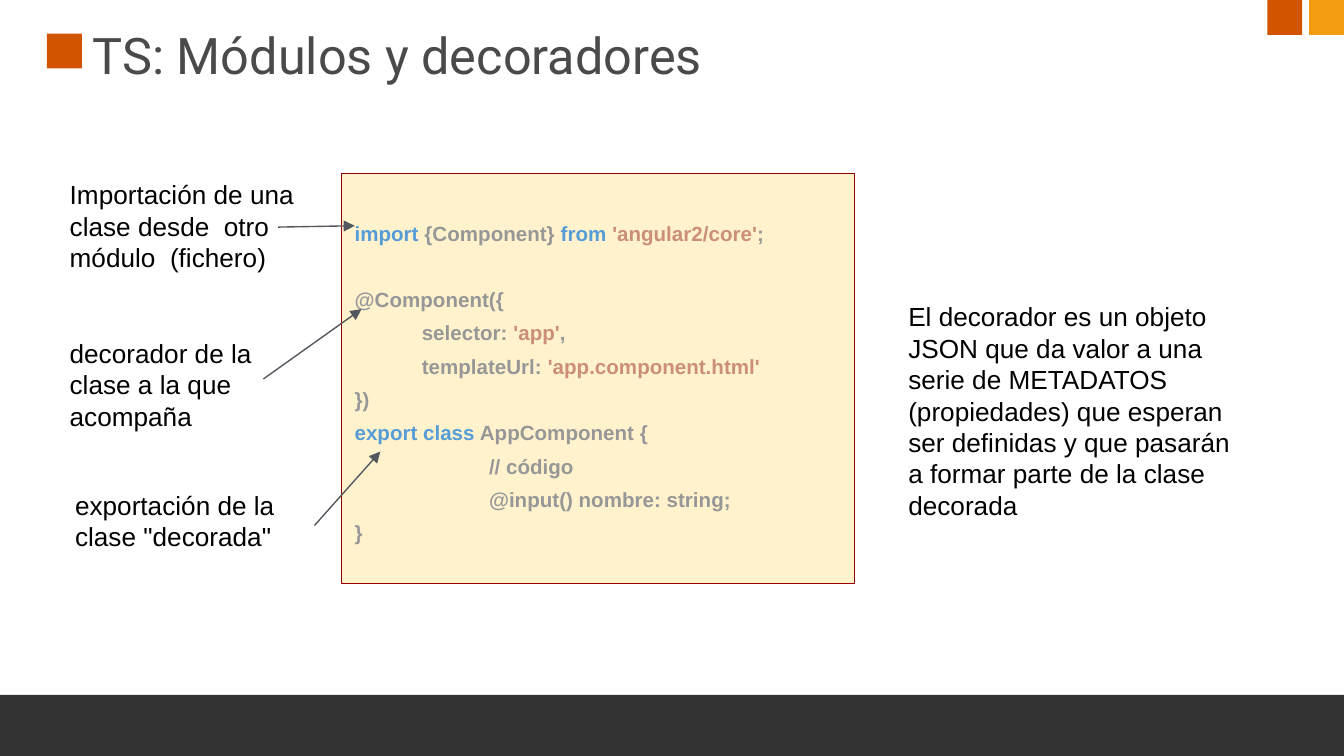
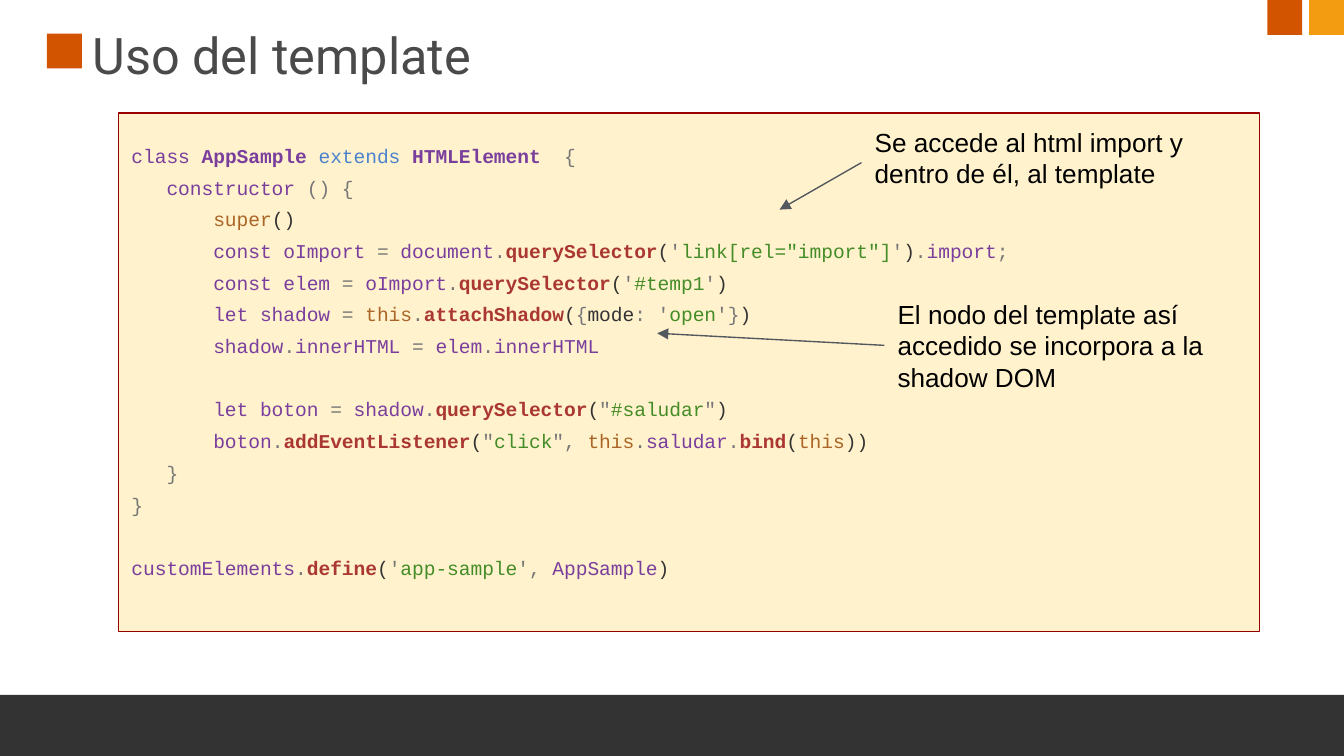
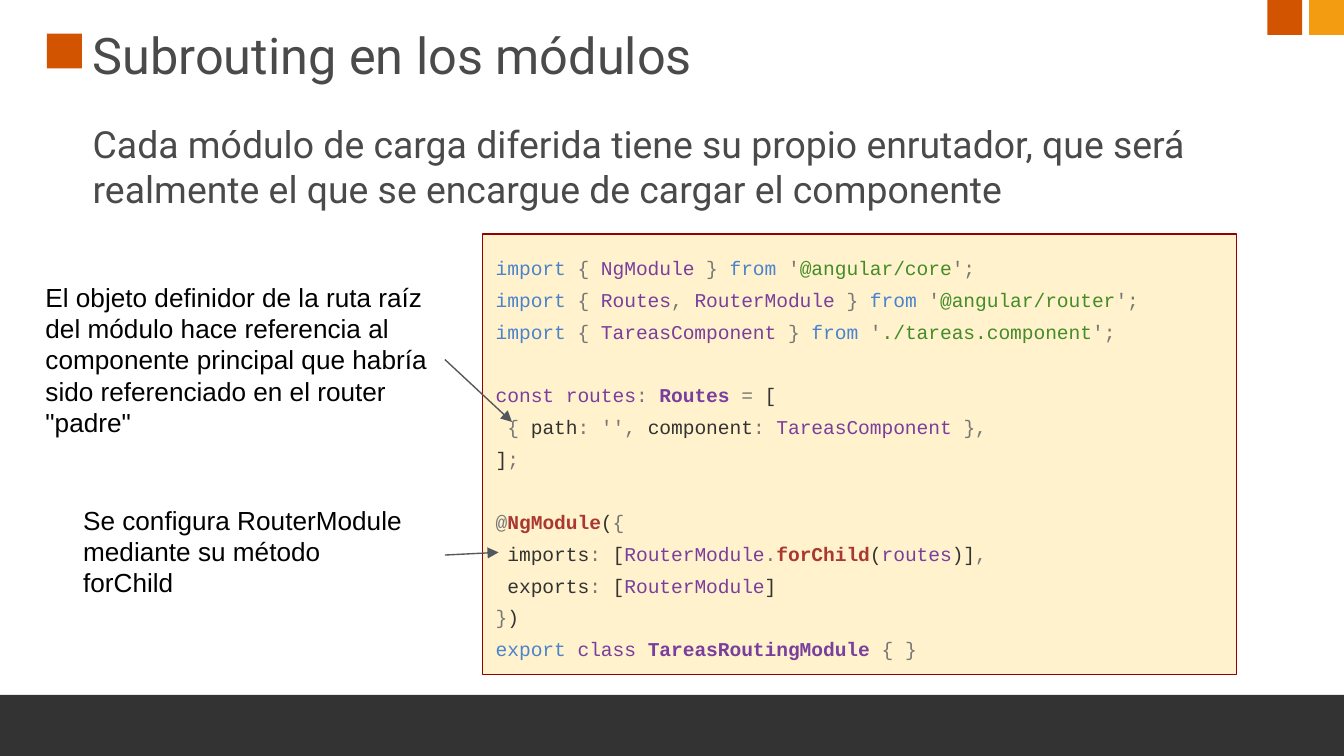
"""Build three slides on modules, templates and subrouting."""
from dataclasses import dataclass, field
from typing import Any, NamedTuple

from lxml.etree import SubElement
from pptx import Presentation
from pptx.dml.color import RGBColor
from pptx.enum.shapes import MSO_CONNECTOR, MSO_SHAPE
from pptx.enum.text import MSO_ANCHOR, PP_ALIGN
from pptx.oxml.ns import qn
from pptx.util import Inches, Pt


@dataclass(frozen=True)
class Theme:
    """Colours and type sizes of the deck."""
    rust: str = "D35400"
    amber: str = "F39C12"
    band: str = "333333"
    title: str = "4A4A4A"
    note: str = "000000"
    cream: str = "FFF2CC"
    edge: str = "980000"
    arrow: str = "53585F"
    head: float = 27
    body: float = 20
    text: float = 14
    code: float = 10.5
    thin: float = 0.75
    lead: float = 1.35
    gap: float = 17
    inks: dict[str, tuple[str, bool]] = field(default_factory=lambda: {
        "p": ("7A3E9D", False), "P": ("7A3E9D", True),
        "b": ("4B83CD", False), "B": ("569CD6", True),
        "g": ("777777", False), "G": ("979797", True),
        "d": ("333333", False), "o": ("AB6526", False),
        "s": ("448C27", False), "R": ("AA3731", True),
        "T": ("CA8F76", True),
    })


THEME = Theme()


class Box(NamedTuple):
    """Place and size in inches."""
    x: float
    y: float
    w: float
    h: float


class Line(NamedTuple):
    """Code line: one ink key for each part between bars."""
    keys: str
    text: str
    gap: bool = False
    dent: float = 0


class Code(NamedTuple):
    """Panel of code lines."""
    box: Box
    lines: list[Line]
    face: str = "Courier New"
    size: float = THEME.code
    foot: float = 0.1


class Note(NamedTuple):
    """Remark beside the code."""
    box: Box
    text: str
    mid: bool = False


class Arrow(NamedTuple):
    """Arrow with an optional join to a side of a note."""
    start: tuple[float, float]
    end: tuple[float, float]
    note: int | None = None
    side: int = 3
    join: str = "begin"


class Page(NamedTuple):
    """Content of one slide."""
    title: str
    code: Code
    notes: list[Note]
    arrows: list[Arrow]
    body: str = ""


MARKS = [
    (Box(0.35, 0.25, 0.26, 0.26), THEME.rust),
    (Box(-0.03, 5.17, 10.05, 0.46), THEME.band),
    (Box(9.43, 0, 0.26, 0.26), THEME.rust),
    (Box(9.74, 0, 0.26, 0.26), THEME.amber),
]

PAGES = [
    Page(
        "TS: Módulos y decoradores",
        Code(Box(2.54, 1.29, 3.82, 3.05), [
            Line("BGBTG", "import| {Component} |from |'angular2/core'|;"),
            Line("G", "@Component({", gap=True),
            Line("GTG", "selector: |'app'|,", dent=0.5),
            Line("GT", "templateUrl: |'app.component.html'", dent=0.5),
            Line("G", "})"),
            Line("BG", "export class| AppComponent {"),
            Line("G", "// código", dent=1),
            Line("G", "@input() nombre: string;", dent=1),
            Line("G", "}"),
        ], "Arial", 11),
        [
            Note(Box(0.42, 1.23, 2.22, 0.9),
                 "Importación de una clase desde  otro módulo  (fichero)"),
            Note(Box(0.42, 2.41, 1.96, 0.9),
                 "decorador de la clase a la que acompaña"),
            Note(Box(0.46, 3.54, 1.88, 0.74),
                 "exportación de la\nclase \"decorada\""),
            Note(Box(6.66, 1.92, 2.74, 2.27),
                 "El decorador es un objeto JSON que da valor a una serie de "
                 "METADATOS (propiedades) que esperan ser definidas y que "
                 "pasarán a formar parte de la clase decorada", True),
        ],
        [
            Arrow((2.07, 1.69), (2.64, 1.68), 0, join="end"),
            Arrow((1.96, 2.82), (2.69, 2.3)),
            Arrow((2.33, 3.91), (2.83, 3.36), 2),
        ],
    ),
    Page(
        "Uso del template",
        Code(Box(0.88, 0.84, 8.49, 3.86), [
            Line("pPbPg", "class |AppSample |extends |HTMLElement  |{"),
            Line("pg", "   constructor |() {"),
            Line("od", "       super|()"),
            Line("pgpgRdgsgdgpg",
                 "       const oImport |= |document|.|querySelector|(|'|"
                 "link[rel=\"import\"]|'|)|.|import|;"),
            Line("pgpgRdgsgd",
                 "       const elem |= |oImport|.|querySelector|(|'|#temp1|'|)"),
            Line("pgogRdgdgsgd",
                 "       let shadow |= |this|.|attachShadow|(|{|mode|: '|"
                 "open|'}|)"),
            Line("pgpgpgp",
                 "       shadow|.|innerHTML |= |elem|.|innerHTML"),
            Line("pgpgRdgsgd",
                 "       let boton |= |shadow|.|querySelector|(|\"|#saludar|\"|)",
                 gap=True),
            Line("pgRdgsgogpgRdod",
                 "       boton|.|addEventListener|(|\"|click|\", |this|.|"
                 "saludar|.|bind|(|this|))"),
            Line("g", "   }"),
            Line("g", "}"),
            Line("pgRdgsgpd",
                 "customElements|.|define|(|'|app-sample|', |AppSample|)",
                 gap=True),
        ], foot=0.32),
        [
            Note(Box(6.41, 0.84, 3.02, 0.74),
                 "Se accede al html import y dentro de él, al template"),
            Note(Box(6.58, 2.2, 2.67, 0.74),
                 "El nodo del template así accedido se incorpora a la "
                 "shadow DOM", True),
        ],
        [
            Arrow((6.41, 1.21), (5.8, 1.56), 0, 1),
            Arrow((6.58, 2.56), (4.89, 2.48), 1, 1),
        ],
    ),
    Page(
        "Subrouting en los módulos",
        Code(Box(3.59, 1.74, 5.61, 3.28), [
            Line("bgpgbgsg",
                 "import |{ |NgModule |} |from |'|@angular/core|';"),
            Line("bgpgpgbgsg",
                 "import |{ |Routes|, |RouterModule |} |from |'|"
                 "@angular/router|';"),
            Line("bgpgbgsg",
                 "import |{ |TareasComponent |} |from |'|"
                 "./tareas.component|';"),
            Line("pgPgd", "const routes|: |Routes |=| [", gap=True),
            Line("gdgdgpg",
                 " {| path|: '',| component|: |TareasComponent |},"),
            Line("dg", "]|;"),
            Line("gRdg", "@|NgModule|(|{", gap=True),
            Line("dgdpgRdpdg",
                 " imports|:| [|RouterModule|.|forChild|(|routes|)]|,"),
            Line("dgdpd", " exports|:| [|RouterModule|]"),
            Line("gd", "}|)"),
            Line("bpPg", "export |class |TareasRoutingModule |{ }"),
        ]),
        [
            Note(Box(0.24, 1.99, 3.07, 1.37),
                 "El objeto definidor de la ruta raíz del módulo hace "
                 "referencia al componente principal que habría sido "
                 "referenciado en el router \"padre\"", True),
            Note(Box(0.52, 3.65, 2.79, 0.96),
                 "Se configura RouterModule\nmediante su método\nforChild"),
        ],
        [
            Arrow((3.31, 4.13), (3.71, 4.11), 1),
            Arrow((3.31, 2.68), (3.81, 3.14), 0),
        ],
        "Cada módulo de carga diferida tiene su propio enrutador, que será "
        "realmente el que se encargue de cargar el componente",
    ),
]


def put(item: Any, form: dict[str, Any]) -> None:
    """Set each format value on an item."""
    for name, value in form.items():
        setattr(item, name, value)


def ink(font: Any, face: str, size: float, hue: str, bold: bool = False) -> None:
    """Format a font."""
    put(font, {"name": face, "size": Pt(size), "bold": bold})
    font.color.rgb = RGBColor.from_string(hue)


def frame(shape: Any, pad: float, mid: bool, foot: float | None = None) -> Any:
    """Set the margins and anchor of a text frame."""
    side = Inches(pad)
    put(shape.text_frame, {
        "word_wrap": True,
        "margin_left": side, "margin_right": side, "margin_top": side,
        "margin_bottom": side if foot is None else Inches(foot),
        "vertical_anchor": MSO_ANCHOR.MIDDLE if mid else MSO_ANCHOR.TOP,
    })
    return shape.text_frame


def block(slide: Any, box: Box, fill: str, edge: str = "") -> Any:
    """Draw a plain rectangle."""
    shape = slide.shapes.add_shape(MSO_SHAPE.RECTANGLE, *map(Inches, box))
    shape.shadow.inherit = False
    shape.fill.solid()
    shape.fill.fore_color.rgb = RGBColor.from_string(fill)
    if edge:
        shape.line.color.rgb = RGBColor.from_string(edge)
        shape.line.width = Pt(THEME.thin)
    else:
        shape.line.fill.background()
    return shape


def label(slide: Any, box: Box, text: str, face: str, size: float, hue: str,
          pad: float = 0.06, mid: bool = False) -> Any:
    """Draw a text box in one style."""
    shape = slide.shapes.add_textbox(*map(Inches, box))
    area = frame(shape, pad, mid)
    area.text = text
    for para in area.paragraphs:
        for run in para.runs:
            ink(run.font, face, size, hue)
    return shape


def panel(slide: Any, code: Code) -> None:
    """Draw a panel of coloured code."""
    area = frame(block(slide, code.box, THEME.cream, THEME.edge),
                 0.1, True, code.foot)
    for index, line in enumerate(code.lines):
        para = area.add_paragraph() if index else area.paragraphs[0]
        put(para, {"alignment": PP_ALIGN.LEFT, "line_spacing": THEME.lead})
        if line.gap:
            para.space_before = Pt(THEME.gap * code.size / THEME.code)
        if line.dent:
            para._p.get_or_add_pPr().set("marL", str(Inches(line.dent)))
        for key, part in zip(line.keys, line.text.split("|"), strict=True):
            run = para.add_run()
            run.text = part
            ink(run.font, code.face, code.size, *THEME.inks[key])


def point(slide: Any, arrow: Arrow, notes: list[Any]) -> None:
    """Draw an arrow and join it to its note."""
    ends = map(Inches, arrow.start + arrow.end)
    link = slide.shapes.add_connector(MSO_CONNECTOR.STRAIGHT, *ends)
    link.line.color.rgb = RGBColor.from_string(THEME.arrow)
    link.line.width = Pt(THEME.thin)
    SubElement(link.line._get_or_add_ln(), qn("a:tailEnd"), type="triangle")
    SubElement(link._element.spPr, qn("a:effectLst"))
    if arrow.note is not None:
        join = link.begin_connect if arrow.join == "begin" else link.end_connect
        join(notes[arrow.note], arrow.side)


def draw(slide: Any, page: Page) -> None:
    """Draw one whole slide."""
    for box, fill in MARKS:
        block(slide, box, fill)
    label(slide, Box(0.63, 0.12, 8.57, 0.59), page.title,
          "Roboto", THEME.head, THEME.title)
    if page.body:
        label(slide, Box(0.63, 0.84, 8.57, 0.78), page.body,
              "Roboto", THEME.body, THEME.title)
    panel(slide, page.code)
    notes = [label(slide, note.box, note.text, "Arial", THEME.text,
                   THEME.note, 0.1, note.mid) for note in page.notes]
    for arrow in page.arrows:
        point(slide, arrow, notes)


def main() -> None:
    """Build and save the deck."""
    deck = Presentation()
    wide = Inches(10)
    put(deck, {"slide_width": wide, "slide_height": wide * 9 // 16})
    for page in PAGES:
        draw(deck.slides.add_slide(deck.slide_layouts[6]), page)
    deck.save("out.pptx")


if __name__ == "__main__":
    main()
